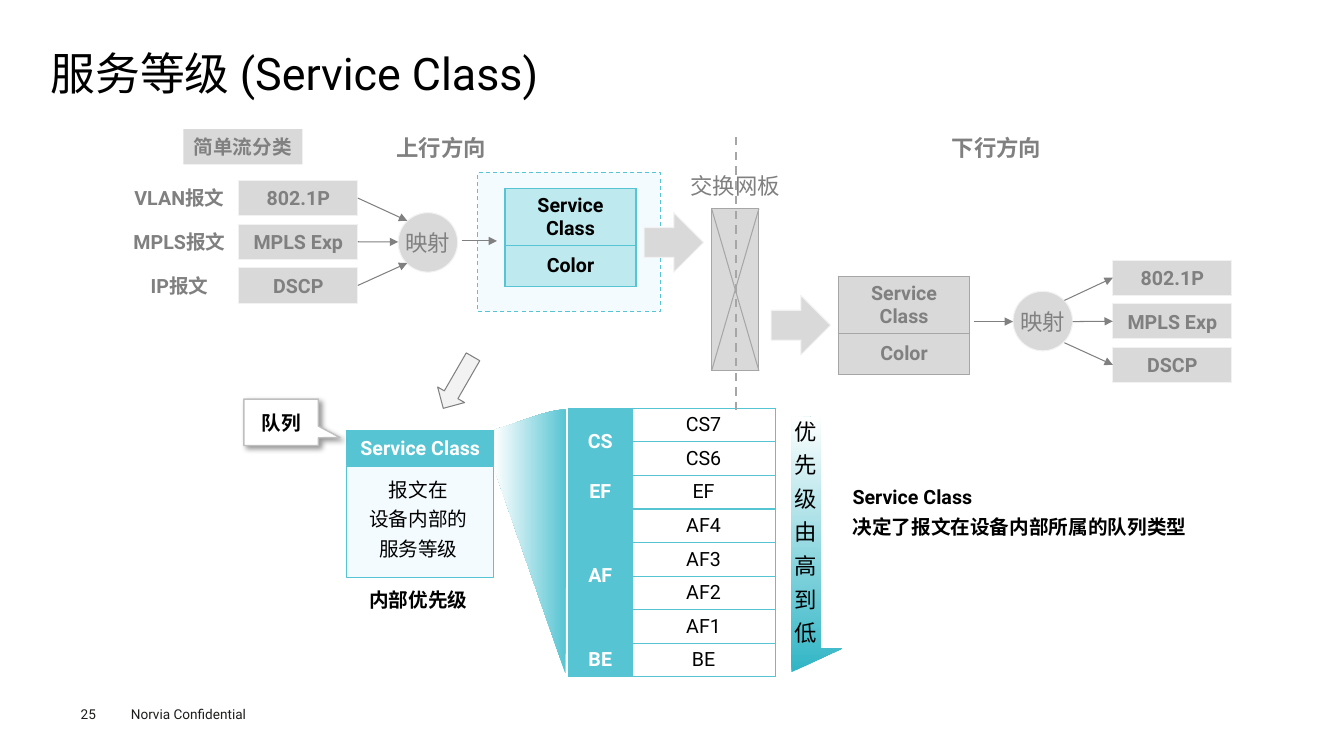
from pptx import Presentation
from pptx.dml.color import RGBColor
from pptx.enum.dml import MSO_LINE
from pptx.enum.shapes import MSO_CONNECTOR, MSO_SHAPE
from pptx.enum.text import MSO_ANCHOR, MSO_AUTO_SIZE, PP_ALIGN
from pptx.oxml import parse_xml
from pptx.oxml.ns import nsdecls, qn
from pptx.util import Pt

BLACK = RGBColor(0x00, 0x00, 0x00)
WHITE = RGBColor(0xFF, 0xFF, 0xFF)
INK = RGBColor(0x1D, 0x1D, 0x1B)
TEAL = RGBColor(0x56, 0xC4, 0xD2)
DEEP = RGBColor(0x30, 0xB5, 0xC5)
AQUA = RGBColor(0xBE, 0xE9, 0xEE)
MIST = RGBColor(0xF4, 0xFB, 0xFE)
GRAY = RGBColor(0x80, 0x80, 0x80)
MID = RGBColor(0xA6, 0xA6, 0xA6)
SILVER = RGBColor(0xBF, 0xBF, 0xBF)
PALE = RGBColor(0xD9, 0xD9, 0xD9)
FAINT = RGBColor(0xF2, 0xF2, 0xF2)

deck = Presentation()
deck.slide_width, deck.slide_height = Pt(960), Pt(540)
slide = deck.slides.add_slide(deck.slide_layouts[5])
shapes = slide.shapes


def write(frame, text, size, color, bold=False, align=PP_ALIGN.CENTER, gap=None):
    frame.text = text
    frame.word_wrap = True
    frame.vertical_anchor = MSO_ANCHOR.MIDDLE
    for para in frame.paragraphs:
        para.alignment = align
        para.line_spacing = gap
        for run in para.runs:
            font = run.font
            font.name, font.size, font.bold = "Roboto", Pt(size), bold
            font.color.rgb = color


def draw(kind, x, y, w, h, fill, edge=None):
    shape = shapes.add_shape(kind, Pt(x), Pt(y), Pt(w), Pt(h))
    shape.shadow.inherit = False
    shape.fill.solid()
    shape.fill.fore_color.rgb = fill
    if edge is None:
        shape.line.fill.background()
    else:
        shape.line.color.rgb = edge
        shape.line.width = Pt(0.75)
    frame = shape.text_frame
    frame.margin_left = frame.margin_right = 0
    return shape


# Title
title = shapes.title
title.left, title.top, title.width, title.height = Pt(36), Pt(35.3), Pt(886.3), Pt(38.2)
frame = title.text_frame
frame.auto_size = MSO_AUTO_SIZE.NONE
frame.margin_left = frame.margin_right = frame.margin_top = frame.margin_bottom = 0
write(frame, "服务等级 (Service Class)", 32, BLACK, align=PP_ALIGN.LEFT, gap=0.9)

# Panels behind the service class blocks
draw(MSO_SHAPE.RECTANGLE, 247.7, 333.4, 105.1, 79.2, MIST, TEAL)
zone = draw(MSO_SHAPE.RECTANGLE, 341.3, 123.1, 130.3, 99.4, MIST, TEAL)
zone.line.dash_style = MSO_LINE.DASH

# Mapping circles
for x, y in [(284.4, 151.9), (723.6, 208.1)]:
    circle = draw(MSO_SHAPE.OVAL, x, y, 42.5, 42.5, PALE, FAINT)
    write(circle.text_frame, "映射", 16, GRAY)
    circle.text_frame.word_wrap = False

# Priority fields; each wire is (x1, y1, x2, y2, colour, weight, dash, arrow, start, end)
wires = []
fields = ["802.1P", "MPLS Exp", "DSCP"]
ends = [(290.9, 157.7), (284.4, 172.8), (290.9, 187.9)]
starts = [(760.3, 214.6), (766.1, 229.7), (760.3, 244.8)]
for i, field in enumerate(fields):
    up = draw(MSO_SHAPE.RECTANGLE, 170.6, 128.9 + 31.2 * i, 85, 25.2, PALE, FAINT)
    down = draw(MSO_SHAPE.RECTANGLE, 794.9, 185.8 + 31.1 * i, 85, 25.2, PALE, FAINT)
    for box in (up, down):
        write(box.text_frame, field, 14, GRAY, True)
    wires.append((0, 0, *ends[i], GRAY, 0.75, False, True, up, None))
    wires.append((*starts[i], 0, 0, GRAY, 0.75, False, True, None, down))

# Block arrows, switch board and captions with a fill
draw(MSO_SHAPE.RIGHT_ARROW, 460.1, 151.9, 42.5, 42.5, PALE, FAINT)
draw(MSO_SHAPE.RIGHT_ARROW, 550.8, 211, 42.5, 42.5, PALE, FAINT)
draw(MSO_SHAPE.DOWN_ARROW, 316.1, 252, 22.3, 42.5, FAINT, GRAY).rotation = 30
draw(MSO_SHAPE.RECTANGLE, 508.3, 149, 33.8, 115.9, PALE, MID)
tag = draw(MSO_SHAPE.RECTANGLE, 131, 92.2, 85, 25.2, PALE)
write(tag.text_frame, "简单流分类", 14, GRAY, True)
head = draw(MSO_SHAPE.RECTANGLE, 247.7, 307.4, 105.1, 25.2, TEAL, TEAL)
write(head.text_frame, "Service Class", 14, WHITE, True)

# Tables: left, top, widths, heights, rows, edge, (fill, ink, bold) per column, merges
pair = [["Service Class"], ["Color"]]
queues = [["CS", "CS7"], ["", "CS6"], ["EF", "EF"], ["AF", "AF4"],
          ["", "AF3"], ["", "AF2"], ["", "AF1"], ["BE", "BE"]]
grids = [
    (360.7, 134.6, [93.6], [41, 29], pair, TEAL, [(AQUA, BLACK, True)], []),
    (599, 197.3, [93.6], [41, 29], pair, MID, [(PALE, GRAY, True)], []),
    (406.1, 291.6, [45.4, 102.2], [24] * 8, queues, TEAL,
     [(TEAL, WHITE, True), (WHITE, BLACK, False)], [(0, 1), (3, 6)]),
]
for x, y, widths, heights, rows, edge, looks, merges in grids:
    table = shapes.add_table(len(rows), len(widths), Pt(x), Pt(y),
                             Pt(sum(widths)), Pt(sum(heights))).table
    table.first_row = table.horz_banding = False
    for column, width in zip(table.columns, widths):
        column.width = Pt(width)
    for r, row in enumerate(rows):
        table.rows[r].height = Pt(heights[r])
        for c, text in enumerate(row):
            cell = table.cell(r, c)
            fill, ink, bold = looks[c]
            props = cell._tc.get_or_add_tcPr()
            for side in "LRTB":
                props.append(parse_xml(
                    f'<a:ln{side} {nsdecls("a")} w="12700"><a:solidFill>'
                    f'<a:srgbClr val="{edge}"/></a:solidFill></a:ln{side}>'))
            cell.fill.solid()
            cell.fill.fore_color.rgb = fill
            write(cell.text_frame, text, 14, ink, bold)
            cell.vertical_anchor = MSO_ANCHOR.MIDDLE
    for first, last in merges:
        table.cell(first, 0).merge(table.cell(last, 0))

# Fan from the service class block to the queue table, and the falling arrow
curve = [(353.5, 306.7), (370.1, 302.4), (388.8, 293), (404.6, 292.3)]
fan = []
for step in range(13):
    t = step / 12
    parts = [(1 - t) ** 3, 3 * t * (1 - t) ** 2, 3 * t ** 2 * (1 - t), t ** 3]
    fan.append(tuple(sum(p * point[k] for p, point in zip(parts, curve)) for k in (0, 1)))
fan += [(403.9, 481), (352.8, 334.1)]
fall = [(565.2, 297.4), (565.2, 480.2), (601.9, 463), (586.1, 463), (586.1, 298.1)]
for points, color, angle in [(fan, TEAL, 180), (fall, DEEP, 90)]:
    dots = [(Pt(x), Pt(y)) for x, y in points]
    pen = shapes.build_freeform(*dots[0])
    pen.add_line_segments(dots[1:], close=True)
    form = pen.convert_to_shape()
    form.shadow.inherit = False
    form.line.fill.background()
    form.fill.gradient()
    form.fill.gradient_angle = angle
    for stop, shade in zip(form.fill.gradient_stops, (color, WHITE)):
        stop.color.rgb = shade

# Plain texts: left, top, width, height, side inset, text, size, colour, bold, align, spacing
MIDDLE, LEFT = PP_ALIGN.CENTER, PP_ALIGN.LEFT
notes = [
    (275.8, 92.2, 78.5, 26.6, 0, "上行方向", 16, GRAY, True, MIDDLE, None),
    (672.5, 92.2, 78.5, 26.6, 0, "下行方向", 16, GRAY, True, MIDDLE, None),
    (486, 119.5, 78.5, 26.6, 0, "交换网板", 16, GRAY, False, MIDDLE, None),
    (250.6, 333.4, 96.5, 70.6, 7.2, "报文在\n设备内部的\n服务等级", 14, BLACK, False, MIDDLE, 1.25),
    (256.3, 415.4, 85, 25.2, 0, "内部优先级", 14, BLACK, True, MIDDLE, None),
    (601.9, 333.4, 280.8, 59.8, 7.2, "Service Class\n决定了报文在设备内部所属的队列类型",
     14, BLACK, True, LEFT, 1.25),
    (555.1, 288.7, 40.3, 177.8, 7.9, "优先级由高到低", 16, BLACK, False, MIDDLE, 1.25),
    (86.4, 500.4, 115.2, 19.4, 7.2, "Norvia Confidential", 9.7, INK, False, LEFT, None),
    (57.6, 504, 39.6, 11.5, 0, "25", 9.7, INK, False, LEFT, None),
]
for i, name in enumerate(["VLAN报文", "MPLS报文", "IP报文"]):
    notes.append((85.7, 128.9 + 31.2 * i, 85, 25.2, 0, name, 14, GRAY, True, MIDDLE, None))
for x, y, w, h, inset, *words in notes:
    frame = shapes.add_textbox(Pt(x), Pt(y), Pt(w), Pt(h)).text_frame
    frame.margin_left = frame.margin_right = Pt(inset)
    write(frame, *words)

# Wires
wires += [
    (329.8, 172.1, 355, 172.1, GRAY, 0.75, False, True, None, None),
    (695.5, 229.7, 723.6, 229.7, GRAY, 0.75, False, True, None, None),
    (508.3, 149, 542.1, 264.9, MID, 0.75, False, False, None, None),
    (542.1, 149, 508.3, 264.9, MID, 0.75, False, False, None, None),
    (525.6, 97.9, 525.6, 295.9, MID, 1.5, True, False, None, None),
]
for x1, y1, x2, y2, color, weight, dash, arrow, start, end in wires:
    wire = shapes.add_connector(MSO_CONNECTOR.STRAIGHT, Pt(x1), Pt(y1), Pt(x2), Pt(y2))
    wire.line.color.rgb = color
    wire.line.width = Pt(weight)
    if dash:
        wire.line.dash_style = MSO_LINE.DASH
    props = wire._element.spPr
    if arrow:
        props.find(qn("a:ln")).append(parse_xml(f'<a:tailEnd {nsdecls("a")} type="triangle"/>'))
    props.append(parse_xml(f'<a:effectLst {nsdecls("a")}/>'))
    if start is not None:
        wire.begin_connect(start, 3)
    if end is not None:
        wire.end_connect(end, 1)

# Queue callout with a soft shadow
queue = draw(MSO_SHAPE.RECTANGULAR_CALLOUT, 174.2, 285.1, 53.3, 33.1, WHITE, SILVER)
queue.line.width = Pt(1)
queue.adjustments[0], queue.adjustments[1] = 0.79, 0.33
write(queue.text_frame, "队列", 14, BLACK, True)
queue._element.spPr.find(qn("a:effectLst")).append(parse_xml(
    f'<a:outerShdw {nsdecls("a")} blurRad="50800" dist="38100" dir="2700000">'
    '<a:srgbClr val="000000"><a:alpha val="40000"/></a:srgbClr></a:outerShdw>'))

deck.save("out.pptx")
